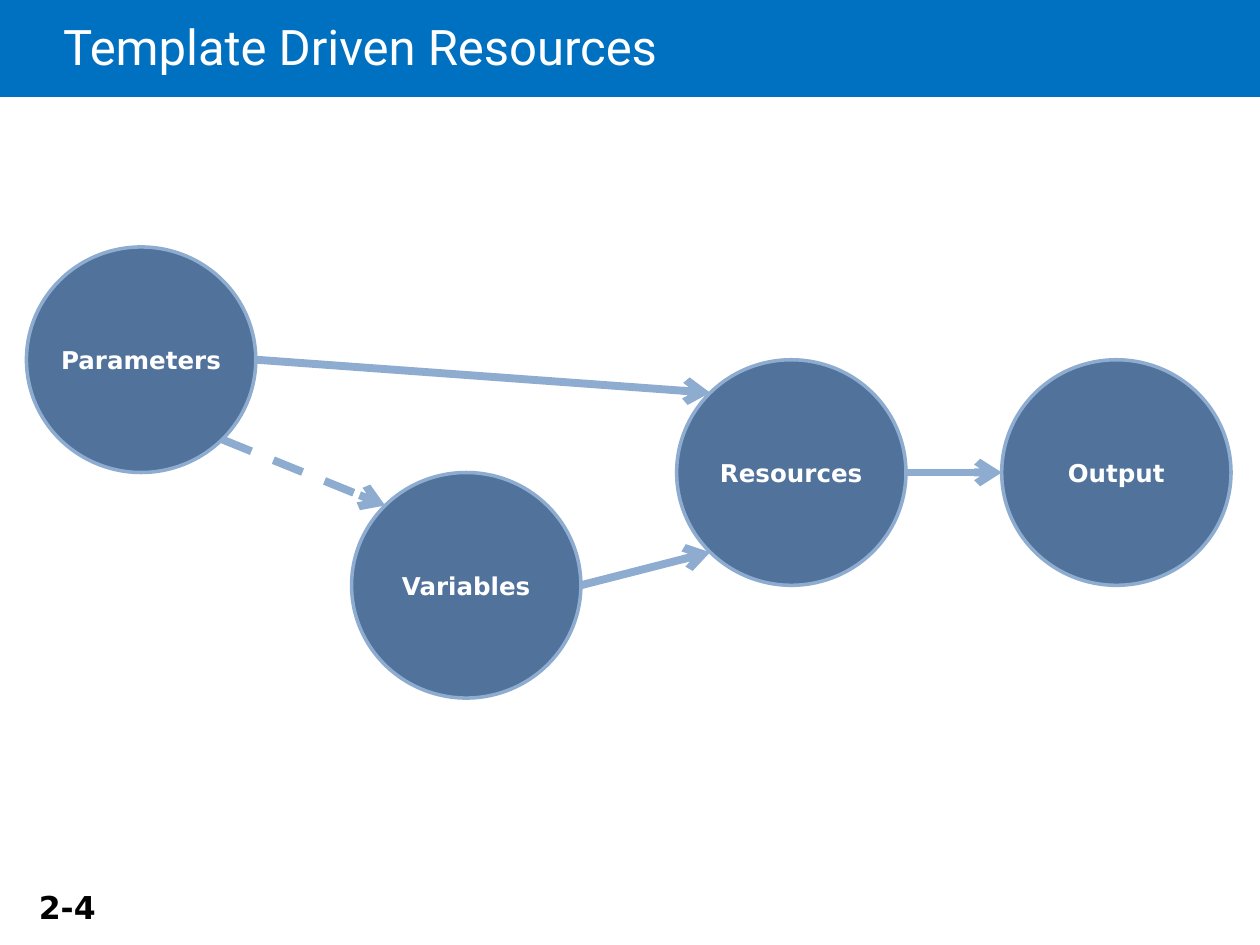
import math

from lxml import etree
from pptx import Presentation
from pptx.dml.color import RGBColor
from pptx.enum.dml import MSO_LINE
from pptx.enum.shapes import MSO_CONNECTOR, MSO_SHAPE
from pptx.enum.text import MSO_ANCHOR, MSO_AUTO_SIZE, PP_ALIGN
from pptx.oxml.ns import qn
from pptx.util import Inches, Pt

OVAL, BAR = MSO_SHAPE.OVAL, MSO_SHAPE.RECTANGLE
STRAIGHT, DASH = MSO_CONNECTOR.STRAIGHT, MSO_LINE.DASH
MIDDLE, TOP = MSO_ANCHOR.MIDDLE, MSO_ANCHOR.TOP
LEFT, CENTER = PP_ALIGN.LEFT, PP_ALIGN.CENTER
FIXED_SIZE, GROW = MSO_AUTO_SIZE.NONE, MSO_AUTO_SIZE.SHAPE_TO_FIT_TEXT

BRIGHT_BLUE = RGBColor(0x00, 0x70, 0xC0)
STEEL = RGBColor(0x51, 0x73, 0x9B)
PALE_BLUE = RGBColor(0x8D, 0xAC, 0xD0)
WHITE = RGBColor(0xFF, 0xFF, 0xFF)
BLACK = RGBColor(0x00, 0x00, 0x00)

NODE_WIDTH, NODE_HEIGHT = 1.82, 1.79
FIRST_LEFT, COLUMN_STEP = 0.21, 2.58
FIRST_TOP, ROW_STEP = 1.96, NODE_HEIGHT / 2

# Node name: column and row, rows being half a node high
NODES = {
    "Parameters": (0, 0),
    "Variables": (1, 2),
    "Resources": (2, 1),
    "Output": (3, 1),
}

# Start node, angle on its edge, end node, angle on its edge, dash style
# Angles run clockwise from the right-hand side
ARROWS = [
    ("Parameters", 0, "Resources", 225, None),
    ("Resources", 0, "Output", 180, None),
    ("Variables", 0, "Resources", 135, None),
    ("Parameters", 45, "Variables", 225, DASH),
]


def node_corner(name):
    column, row = NODES[name]
    return FIRST_LEFT + column * COLUMN_STEP, FIRST_TOP + row * ROW_STEP


def edge_point(name, angle):
    left, top = node_corner(name)
    turn = math.radians(angle)
    x = left + NODE_WIDTH / 2 * (1 + math.cos(turn))
    y = top + NODE_HEIGHT / 2 * (1 + math.sin(turn))
    return Inches(x), Inches(y)


class SlideBuilder:
    heading_font = "Roboto"
    body_font = "DejaVu Sans"

    def __init__(self, deck):
        self.slide = deck.slides.add_slide(deck.slide_layouts[5])

    def add_text(self, frame, text, font, size, color, bold=False, align=LEFT):
        para = frame.paragraphs[0]
        para.alignment = align
        span = para.add_run()
        span.text = text
        span.font.name = font
        span.font.size = Pt(size)
        span.font.bold = bold
        span.font.color.rgb = color
        return para

    def title(self, text):
        box = self.slide.shapes.title
        box.left, box.top = Inches(0.5), Inches(0)
        box.width, box.height = Inches(8.5), Inches(0.81)
        frame = box.text_frame
        frame.word_wrap = True
        frame.auto_size = FIXED_SIZE
        frame.vertical_anchor = MIDDLE
        frame.margin_left = 0
        para = self.add_text(frame, text, self.heading_font, 28, WHITE)
        para.line_spacing = 0.85

    def title_bar(self, width, height):
        bar = self.slide.shapes.add_shape(BAR, 0, 0, Inches(width), Inches(height))
        bar.shadow.inherit = False
        bar.fill.solid()
        bar.fill.fore_color.rgb = BRIGHT_BLUE
        bar.line.fill.background()
        # The bar lies behind the title
        self.slide.shapes.title.element.addprevious(bar.element)

    def node(self, name):
        left, top = node_corner(name)
        oval = self.slide.shapes.add_shape(
            OVAL, Inches(left), Inches(top), Inches(NODE_WIDTH), Inches(NODE_HEIGHT))
        oval.shadow.inherit = False
        oval.fill.solid()
        oval.fill.fore_color.rgb = STEEL
        oval.line.color.rgb = PALE_BLUE
        oval.line.width = Pt(2)
        frame = oval.text_frame
        frame.vertical_anchor = MIDDLE
        frame.margin_left = frame.margin_right = 0
        frame.margin_top = frame.margin_bottom = 0
        self.add_text(frame, name, self.body_font, 14, WHITE, True, CENTER)

    def arrow(self, start, start_angle, end, end_angle, dash):
        link = self.slide.shapes.add_connector(
            STRAIGHT, *edge_point(start, start_angle), *edge_point(end, end_angle))
        link.line.color.rgb = PALE_BLUE
        link.line.width = Pt(4.5)
        if dash:
            link.line.dash_style = dash
        # Arrowhead and removal of the shadow
        properties = link.element.spPr
        head = etree.SubElement(properties.find(qn("a:ln")), qn("a:tailEnd"))
        head.set("type", "arrow")
        etree.SubElement(properties, qn("a:effectLst"))

    def page_number(self, text):
        box = self.slide.shapes.add_textbox(
            Inches(0.21), Inches(7), Inches(0.68), Inches(0.4))
        frame = box.text_frame
        frame.word_wrap = False
        frame.auto_size = GROW
        frame.vertical_anchor = TOP
        self.add_text(frame, text, self.body_font, 18, BLACK, True)


def main():
    deck = Presentation()
    deck.slide_width, deck.slide_height = Inches(10), Inches(7.5)
    page = SlideBuilder(deck)

    # Heading
    page.title_bar(10, 0.77)
    page.title("Template Driven Resources")

    # Flow from parameters to output
    for name in NODES:
        page.node(name)
    for arrow in ARROWS:
        page.arrow(*arrow)

    # Footer
    page.page_number("2-4")
    deck.save("out.pptx")


if __name__ == "__main__":
    main()
